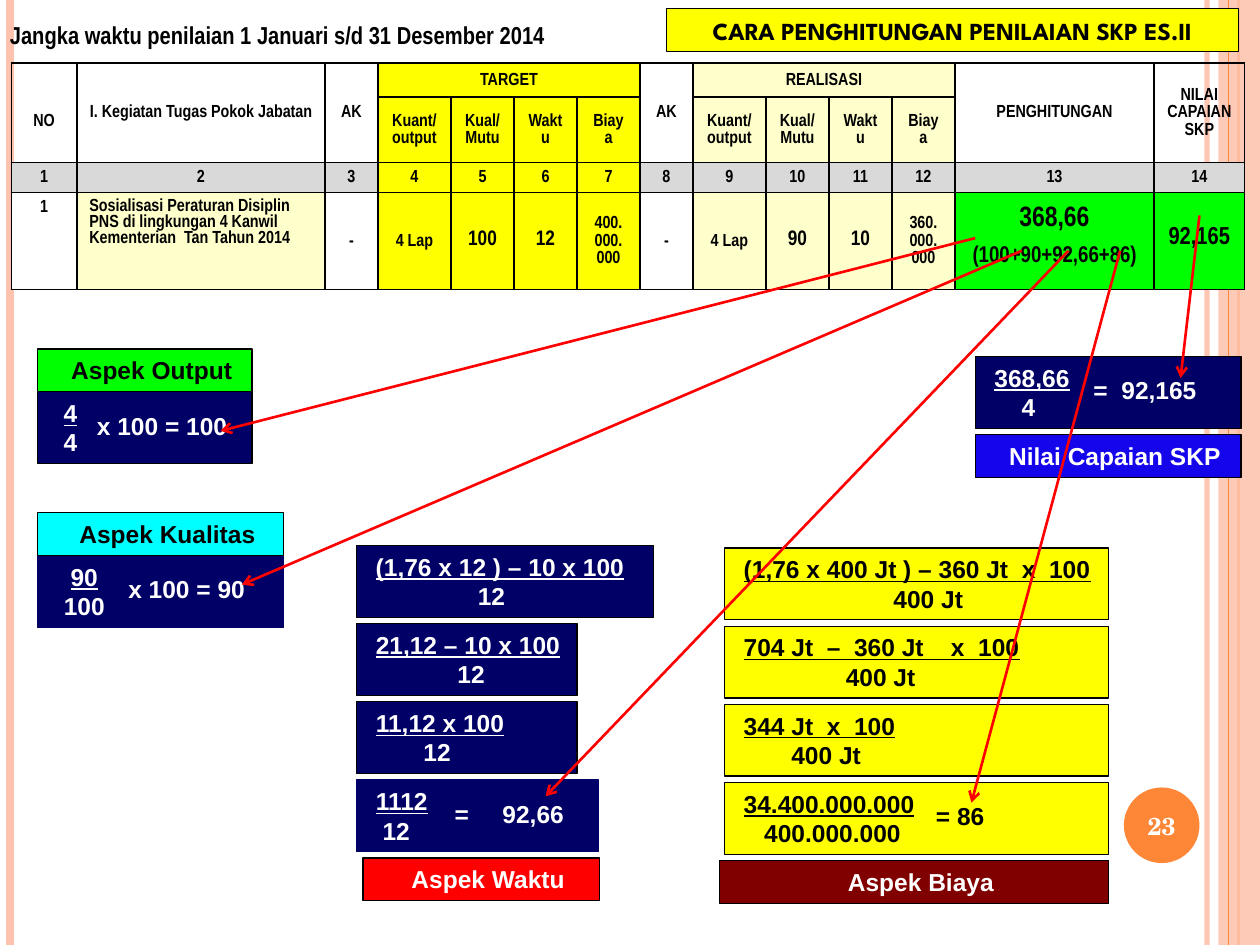
from collections import namedtuple
from dataclasses import dataclass

import pptx
import pptx.dml.color
import pptx.enum.shapes
import pptx.enum.text
import pptx.oxml
import pptx.oxml.ns
import pptx.util

Inches = pptx.util.Inches
Pt = pptx.util.Pt
Shapes = pptx.enum.shapes.MSO_SHAPE
Align = pptx.enum.text.PP_ALIGN
Anchor = pptx.enum.text.MSO_ANCHOR
Box = namedtuple("Box", "left top width height")
Step = namedtuple("Step", "width top bottom indents border")
Result = namedtuple("Result", "text left width tab", defaults=(None,))


@dataclass(frozen=True)
class Theme:
    """Colours, fonts and type sizes of the slide."""
    black: str = "000000"
    white: str = "FFFFFF"
    navy: str = "000066"
    yellow: str = "FFFF00"
    cream: str = "FFFFCC"
    grey: str = "D9D9D9"
    green: str = "00FF00"
    cyan: str = "00FFFF"
    red: str = "FF0000"
    maroon: str = "800000"
    blue: str = "1505EB"
    orange: str = "FE8637"
    peach: str = "FEC3AE"
    body: str = "Arial"
    narrow: str = "Arial Narrow"
    title: str = "League Spartan"
    number: str = "TeX Gyre Schola"
    base: float = 14
    small: float = 10
    medium: float = 12
    formula: float = 13
    large: float = 16
    space: float = 0.054
    label_height: float = 0.34
    step_height: float = 0.57
    step_pitch: float = 0.62


T = Theme()


def rgb(value):
    """Turn a hex value into a colour."""
    return pptx.dml.color.RGBColor.from_string(value)


def add_xml(parent, tag, **attributes):
    """Append a DrawingML element and return it."""
    element = pptx.oxml.parse_xml(f"<a:{tag} {pptx.oxml.ns.nsdecls('a')}/>")
    for name, value in attributes.items():
        element.set(name, str(value))
    parent.append(element)
    return element


def write(frame, text, size=T.base, font=T.body, color=T.black, align=Align.LEFT,
          underline=False, indent=0, spacing=None, before=None, tab=None):
    """Write one bold paragraph into a text frame."""
    paragraph = frame.paragraphs[0]
    if paragraph.runs:
        paragraph = frame.add_paragraph()
    paragraph.alignment = align
    if spacing:
        paragraph.line_spacing = Pt(spacing)
    if before:
        paragraph.space_before = Pt(before)
    properties = paragraph._p.get_or_add_pPr()
    if indent:
        properties.set("marL", str(Inches(indent)))
        properties.set("indent", "0")
    if tab:
        add_xml(add_xml(properties, "tabLst"), "tab", pos=Inches(tab), algn="l")
    run = paragraph.add_run()
    run.text = text
    run.font.size, run.font.name, run.font.bold = Pt(size), font, True
    run.font.underline = underline
    run.font.color.rgb = rgb(color)


def add_block(slide, box, fill, border=None, kind=Shapes.RECTANGLE, alpha=None):
    """Add a filled shape and return it."""
    block = slide.shapes.add_shape(kind, *map(Inches, box))
    block.shadow.inherit = False
    block.fill.solid()
    block.fill.fore_color.rgb = rgb(fill)
    if alpha:
        add_xml(block.fill._xPr.find(".//" + pptx.oxml.ns.qn("a:srgbClr")), "alpha", val=alpha * 1000)
    if border:
        block.line.color.rgb = rgb(border)
        block.line.width = Pt(0.75)
    else:
        block.line.fill.background()
    block.text_frame.word_wrap = True
    block.text_frame.vertical_anchor = Anchor.TOP
    return block


def add_line(slide, start, end, color, width, arrow=False, alpha=None):
    """Add a straight line, optionally with an arrowhead."""
    line = slide.shapes.add_connector(pptx.enum.shapes.MSO_CONNECTOR.STRAIGHT, *map(Inches, start + end))
    line.line.color.rgb = rgb(color)
    line.line.width = Pt(width)
    outline = line.line._get_or_add_ln()
    if alpha:
        add_xml(outline.find(".//" + pptx.oxml.ns.qn("a:srgbClr")), "alpha", val=alpha * 1000)
    if arrow:
        add_xml(outline, "tailEnd", type="arrow")
    add_xml(line._element.spPr, "effectLst")


def add_backdrop(slide, box):
    """Draw the vertical stripes and the page number."""
    def stripe(x, color, width, alpha=None):
        x += box.left
        add_line(slide, (x, box.top), (x, box.top + box.height), color, width, alpha=alpha)

    stripe(9.58, T.peach, 3, 93)
    stripe(0.08, T.peach, 4.5)
    stripe(9.83, T.orange, 1.5)
    add_block(slide, Box(box.left + 9.67, box.top, 0.33, box.height), T.peach, alpha=87)
    stripe(9.75, T.orange, 0.75)
    badge = add_block(slide, Box(box.left + 8.92, box.top + 6.25, 0.6, 0.6), T.orange, kind=Shapes.OVAL)
    badge.text_frame.vertical_anchor = Anchor.MIDDLE
    badge.text_frame.margin_left = badge.text_frame.margin_right = 0
    write(badge.text_frame, "23", font=T.number, color=T.white, align=Align.CENTER)


def add_heading(slide, box):
    """Place the assessment period and the slide title."""
    period = slide.shapes.add_textbox(*map(Inches, (box.left, box.top + 0.04, 4.79, 0.34)))
    period.text_frame.word_wrap = True
    write(period.text_frame, "Jangka waktu penilaian 1 Januari s/d 31 Desember 2014", font=T.narrow)
    title = add_block(slide, Box(box.left + box.width - 4.54, box.top, 4.54, 0.34), T.yellow, T.black)
    title.text_frame.word_wrap = False
    title.text_frame.vertical_anchor = Anchor.MIDDLE
    write(title.text_frame, "CARA PENGHITUNGAN PENILAIAN SKP ES.II", font=T.title, align=Align.CENTER)


def fill_cell(cell, text, fill, sizes=(T.small,), before=None, **form):
    """Fill, border and write one table cell."""
    cell.vertical_anchor = Anchor.MIDDLE
    properties = cell._tc.get_or_add_tcPr()
    for side in ("lnL", "lnR", "lnT", "lnB"):
        edge = add_xml(properties, side, w=Pt(1))
        add_xml(add_xml(edge, "solidFill"), "srgbClr", val=T.black)
    if fill:
        cell.fill.solid()
        cell.fill.fore_color.rgb = rgb(fill)
    else:
        cell.fill.background()
    form = {"align": Align.CENTER, "spacing": T.small, "font": T.narrow, **form}
    for i, line in enumerate(text.split("\n") if text else ()):
        write(cell.text_frame, line, size=sizes[min(i, len(sizes) - 1)], before=before if i else None, **form)


def add_score_table(slide, box):
    """Place the table of targets, realisation and scores."""
    group = [0.58, 0.5, 0.5, 0.5]
    widths = [0.52, 1.97, 0.42, *group, 0.42, *group, 1.58, 0.72]
    heights = [0.27, 0.52, 0.24, 0.77]
    parts = ["Kuant/ output", "Kual/ Mutu", "Waktu", "Biaya"]
    rows = [
        ["NO", "I. Kegiatan Tugas Pokok Jabatan", "AK", "TARGET", "", "", "", "AK", "REALISASI", "", "", "",
         "PENGHITUNGAN", "NILAI\nCAPAIAN\nSKP"],
        ["", "", "", *parts, "", *parts, "", ""],
        [str(n) for n in range(1, 15)],
        ["1", "Sosialisasi Peraturan Disiplin PNS di lingkungan 4 Kanwil Kementerian  Tan Tahun 2014",
         "-", "4 Lap", "100", "12", "400. 000. 000", "-", "4 Lap", "90", "10", "360. 000. 000",
         "368,66\n(100+90+92,66+86)", "92,165"]]
    target, real = [T.yellow] * 4, [T.cream] * 4
    header = [None] * 3 + target + [None] + real + [None] * 2
    fills = [header, header, [T.grey] * 3 + target + [T.grey] * 7,
             [T.white, T.cream, T.white, *target, T.white, *real, T.green, T.green]]
    sizes = {(3, c): (T.medium,) for c in (4, 5, 9, 10)}
    sizes.update({(3, 12): (T.large, T.formula), (3, 13): (T.base,)})
    frame = slide.shapes.add_table(len(rows), len(widths), *map(Inches, box))
    table = frame.table
    table.first_row = table.horz_banding = False
    for column, width in zip(table.columns, widths):
        column.width = Inches(width)
    for row, height in zip(table.rows, heights):
        row.height = Inches(height)
    for r, row in enumerate(rows):
        for c, text in enumerate(row):
            form = {"align": Align.LEFT, "spacing": None} if (r, c) == (3, 1) else {}
            before = T.small if (r, c) == (3, 12) else None
            fill_cell(table.cell(r, c), text, fills[r][c], sizes.get((r, c), (T.small,)), before, **form)
    for c in (0, 1, 2, 7, 12, 13):
        table.cell(0, c).merge(table.cell(1, c))
    for c in (3, 8):
        table.cell(0, c).merge(table.cell(0, c + 3))
    table.cell(0, 0).margin_top = Inches(0.19)
    for c in (0, 1):
        table.cell(3, c).vertical_anchor = Anchor.TOP


def add_panel(slide, box, label, label_fill, steps, result, fill=T.navy, ink=T.white,
              label_ink=T.white, label_first=False, label_shift=0):
    """Stack the fraction steps of one aspect with its label and result."""
    first = box.top + (T.label_height if label_first else 0)
    for i, step in enumerate(steps):
        top = first + i * T.step_pitch
        block = add_block(slide, Box(box.left, top, step.width, T.step_height), fill, step.border)
        for text, spaces, underline in zip((step.top, step.bottom), step.indents, (True, False)):
            write(block.text_frame, text, color=ink, underline=underline, indent=spaces * T.space)
    answer = add_block(slide, Box(box.left + result.left, top + 0.1, result.width, T.label_height), fill, fill)
    write(answer.text_frame, result.text, color=ink, tab=result.tab)
    label_top = box.top if label_first else first + len(steps) * T.step_pitch
    tag = add_block(slide, Box(box.left + label_shift, label_top, box.width - label_shift, T.label_height),
                    label_fill, T.black)
    write(tag.text_frame, label, color=label_ink, align=Align.CENTER, indent=2 * T.space)


def main():
    """Build and save the slide."""
    deck = pptx.Presentation()
    deck.slide_width, deck.slide_height = Inches(10), Inches(7.5)
    slide = deck.slides.add_slide(deck.slide_layouts[6])
    add_backdrop(slide, Box(0, 0, 10, 7.5))
    add_score_table(slide, Box(0.09, 0.5, 9.8, 1.8))
    add_heading(slide, Box(-0.02, 0.07, 9.85, 0.38))
    add_panel(slide, Box(0.3, 2.77, 1.7, 0.91), "Aspek Output", T.green,
              [Step(1.7, "4", "4", (2, 2), T.black)], Result("x 100 = 100", 0.37, 1.28),
              label_ink=T.black, label_first=True)
    add_panel(slide, Box(0.3, 4.07, 1.95, 0.91), "Aspek Kualitas", T.cyan,
              [Step(1.95, "90", "100", (3, 2), T.navy)], Result("x 100 = 90", 0.62, 1.2),
              label_ink=T.black, label_first=True)
    add_panel(slide, Box(2.83, 4.33, 1.93, 2.82), "Aspek Waktu", T.red,
              [Step(2.36, "(1,76 x 12 ) – 10 x 100", "12", (1, 16), T.black),
               Step(1.75, "21,12 – 10 x 100", "12", (1, 13), T.black),
               Step(1.75, "11,12 x 100", "12", (1, 8), T.black),
               Step(1.92, "1112", "12", (1, 2), T.navy)],
              Result("=\t92,66", 0.68, 1.07, 0.38), label_shift=0.05)
    add_panel(slide, Box(5.75, 4.35, 3.05, 2.82), "Aspek Biaya", T.maroon,
              [Step(3.05, "(1,76 x 400 Jt ) – 360 Jt  x  100", "400 Jt", (1, 23), T.black),
               Step(3.05, "704 Jt  –  360 Jt    x  100", "400 Jt", (1, 16), T.black),
               Step(3.05, "344 Jt  x  100", "400 Jt", (1, 8), T.black),
               Step(3.05, "34.400.000.000", "400.000.000", (1, 4), T.black)],
              Result("= 86", 1.58, 1.07), fill=T.yellow, ink=T.black, label_shift=-0.04)
    add_panel(slide, Box(7.74, 2.83, 2.11, 0.95), "Nilai Capaian SKP", T.blue,
              [Step(2.11, "368,66", "4", (1, 5), T.black)], Result("=  92,165", 0.84, 1.21))
    for start, end in (((7.74, 1.89), (1.75, 3.42)), ((8.11, 1.99), (1.92, 4.64)),
                       ((8.48, 1.99), (4.33, 6.32)), ((9.52, 1.71), (9.37, 3)),
                       ((8.89, 1.99), (7.71, 6.37))):
        add_line(slide, start, end, T.red, 1.5, arrow=True)
    deck.save("out.pptx")


if __name__ == "__main__":
    main()
